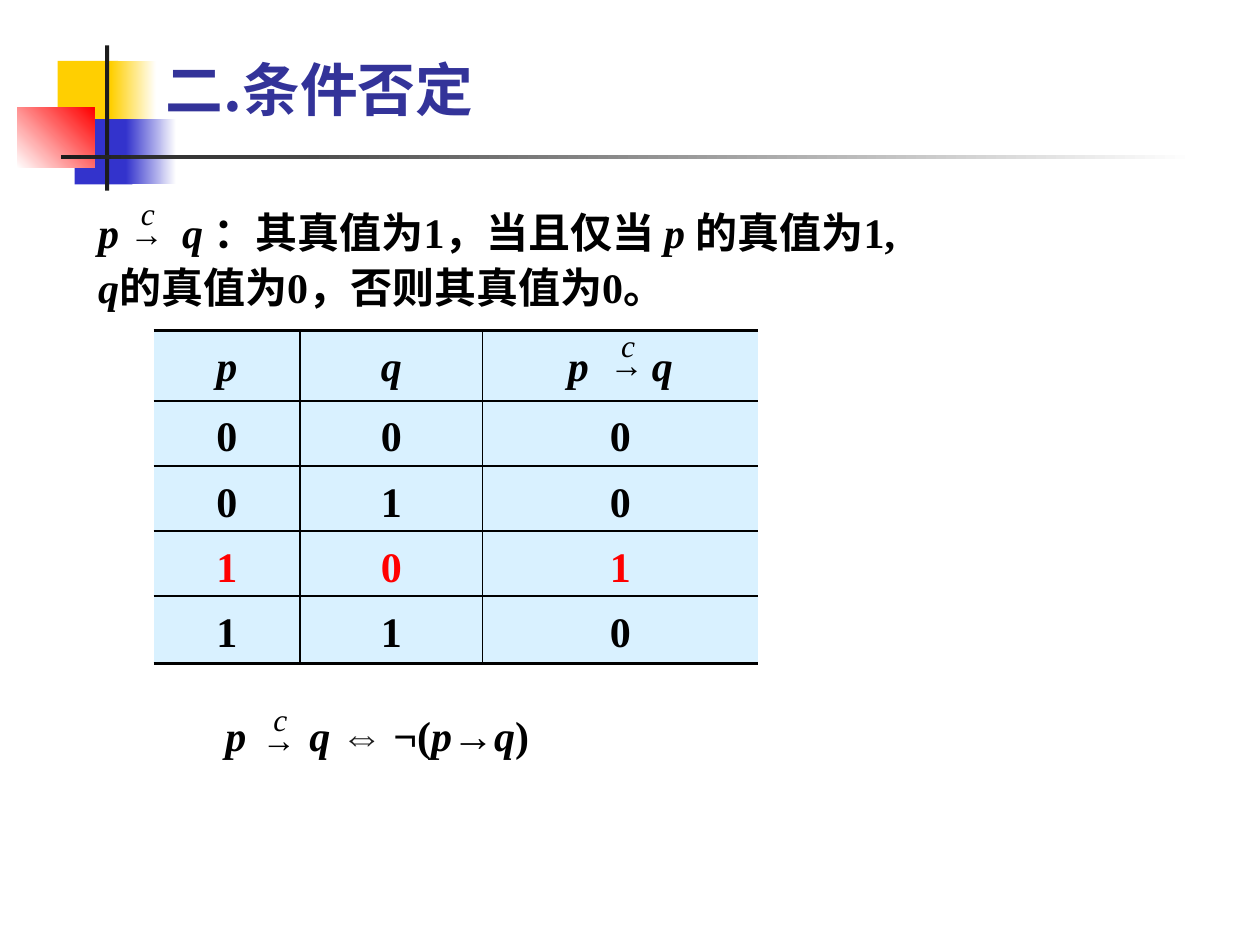
from pptx import Presentation
from pptx.dml.color import RGBColor
from pptx.enum.shapes import MSO_SHAPE
from pptx.enum.text import MSO_ANCHOR, MSO_AUTO_SIZE, PP_ALIGN
from pptx.oxml.ns import qn
from pptx.util import Pt
from lxml.etree import SubElement

BLACK = RGBColor(0x00, 0x00, 0x00)
WHITE = RGBColor(0xFF, 0xFF, 0xFF)
INK = RGBColor(0x1C, 0x1C, 0x1C)
YELLOW = RGBColor(0xFF, 0xCF, 0x01)
BLUE = RGBColor(0x33, 0x33, 0xCC)
RED = RGBColor(0xFF, 0x00, 0x00)
NAVY = RGBColor(0x33, 0x33, 0x99)
PALE = RGBColor(0xD9, 0xF1, 0xFF)

SERIF = "Times New Roman"
SANS = "Noto Sans CJK SC"
GAP = 30


def add_run(p, text, size=24, color=BLACK, bold=True, italic=False, font=SERIF, gap=0):
    r = p.add_run()
    r.text = text
    r.font.size = Pt(size)
    r.font.bold = bold
    r.font.italic = italic
    r.font.color.rgb = color
    r.font.name = font
    SubElement(r.font._element, qn("a:ea"), typeface=SANS)
    if gap:
        r.font._element.set("spc", str(gap * 100))
    return r


def add_pq(p):
    add_run(p, "p", italic=True)
    add_run(p, " ", italic=True, gap=GAP)
    add_run(p, "q", italic=True)


def add_text(shapes, x, y, w, h, wrap=True, align=PP_ALIGN.LEFT):
    tf = shapes.add_textbox(Pt(x), Pt(y), Pt(w), Pt(h)).text_frame
    tf.word_wrap = wrap
    tf.auto_size = MSO_AUTO_SIZE.NONE if wrap else MSO_AUTO_SIZE.SHAPE_TO_FIT_TEXT
    tf.paragraphs[0].alignment = align
    return tf


def add_block(s, x, y, w, h, color, end=None, angle=0):
    sp = s.shapes.add_shape(MSO_SHAPE.RECTANGLE, Pt(x), Pt(y), Pt(w), Pt(h))
    sp.shadow.inherit = False
    sp.line.fill.background()
    if end is None:
        sp.fill.solid()
        sp.fill.fore_color.rgb = color
        return
    sp.fill.gradient()
    sp.fill.gradient_angle = angle
    for stop, rgb in zip(sp.fill.gradient_stops, (color, end)):
        stop.color.rgb = rgb


def add_ornament(s):
    add_block(s, 33, 34.8, 34.5, 37.4, YELLOW)
    add_block(s, 63.4, 34.8, 25.9, 37.4, YELLOW, WHITE)
    add_block(s, 42.6, 68, 33.1, 37.4, BLUE)
    add_block(s, 72, 68, 28.8, 37.4, BLUE, WHITE)
    add_block(s, 9.8, 61.7, 44.2, 34.3, WHITE, RED, 45)
    add_block(s, 60, 26, 2.4, 83, INK)
    add_block(s, 34.8, 88.5, 648, 2.4, INK, WHITE)


def add_title(s):
    tf = add_text(s.shapes, 87.8, 15.1, 595.4, 59)
    tf.vertical_anchor = MSO_ANCHOR.BOTTOM
    r = add_run(tf.paragraphs[0], "二.条件否定", 33, NAVY, font=SANS)
    effects = r.font._element.makeelement(qn("a:effectLst"), {})
    shadow = SubElement(effects, qn("a:outerShdw"), dist="12700", dir="2700000")
    SubElement(shadow, qn("a:srgbClr"), val=str(BLACK))
    r.font._element.find(qn("a:solidFill")).addnext(effects)


def add_definition(s):
    p = add_text(s.shapes, 49, 111.6, 480.2, 64).paragraphs[0]
    p.line_spacing = 1.1
    p.space_before = Pt(7.2)
    add_pq(p)
    for text, italic in (
        (" ", True),
        ("：其真值为1，当且仅当 ", False),
        ("p ", True),
        ("的真值为1, ", False),
        ("q", True),
        ("的真值为0，否则其真值为0。", False),
    ):
        add_run(p, text, italic=italic)


def add_border(cell, side, width):
    ln = SubElement(cell._tc.get_or_add_tcPr(), qn("a:" + side), w=str(Pt(width)))
    if width:
        fill = SubElement(ln, qn("a:solidFill"))
        SubElement(fill, qn("a:srgbClr"), val=str(BLACK))
    else:
        SubElement(ln, qn("a:noFill"))


def add_truth_table(s):
    rows = ("p", "q", None), "000", "010", "101", "110"
    widths = 83.6, 104.4, 157.4
    heights = 40, 37.2, 37.2, 37.2, 38.6
    table = s.shapes.add_table(5, 3, Pt(87.8), Pt(189), Pt(sum(widths)), Pt(sum(heights))).table
    for col, width in zip(table.columns, widths):
        col.width = Pt(width)
    for i, (row, height) in enumerate(zip(rows, heights)):
        table.rows[i].height = Pt(height)
        for j, text in enumerate(row):
            cell = table.cell(i, j)
            cell.margin_left = cell.margin_right = Pt(5)
            cell.margin_top = cell.margin_bottom = Pt(2.6)
            add_border(cell, "lnL", 1 if j > 0 else 0)
            add_border(cell, "lnR", 1 if j < 2 else 0)
            add_border(cell, "lnT", 2.25 if i == 0 else 1)
            add_border(cell, "lnB", 2.25 if i == 4 else 1)
            cell.fill.solid()
            cell.fill.fore_color.rgb = PALE
            p = cell.text_frame.paragraphs[0]
            p.alignment = PP_ALIGN.CENTER
            p.line_spacing = 1.2
            if text is None:
                add_pq(p)
            else:
                add_run(p, text, color=RED if i == 3 else BLACK, italic=i == 0)


def add_c_arrow(s, x, y):
    shapes = s.shapes.add_group_shape().shapes
    arrow = add_text(shapes, x, y + 10.3, 55.4, 31, False, PP_ALIGN.CENTER)
    add_run(arrow.paragraphs[0], "→", 19.5)
    c = add_text(shapes, x + 17.3, y, 17.3, 28.8, False, PP_ALIGN.CENTER)
    add_run(c.paragraphs[0], "c", 18, bold=False, italic=True)


def add_equivalence(s):
    p = add_text(s.shapes, 121.7, 401.8, 200.2, 36, False).paragraphs[0]
    add_pq(p)
    add_run(p, " ", italic=True)
    add_run(p, "⇔ ", color=INK)
    for text, italic in (("¬(", False), ("p", True), ("→", False), ("q", True), (") ", False)):
        add_run(p, text, italic=italic)


def main():
    prs = Presentation()
    prs.slide_width, prs.slide_height = Pt(720), Pt(540)
    s = prs.slides.add_slide(prs.slide_layouts[6])
    add_ornament(s)
    add_title(s)
    add_definition(s)
    add_truth_table(s)
    add_equivalence(s)
    for x, y in ((56.2, 107.3), (330.5, 182.5), (131.8, 396.7)):
        add_c_arrow(s, x, y)
    prs.save("out.pptx")


main()
